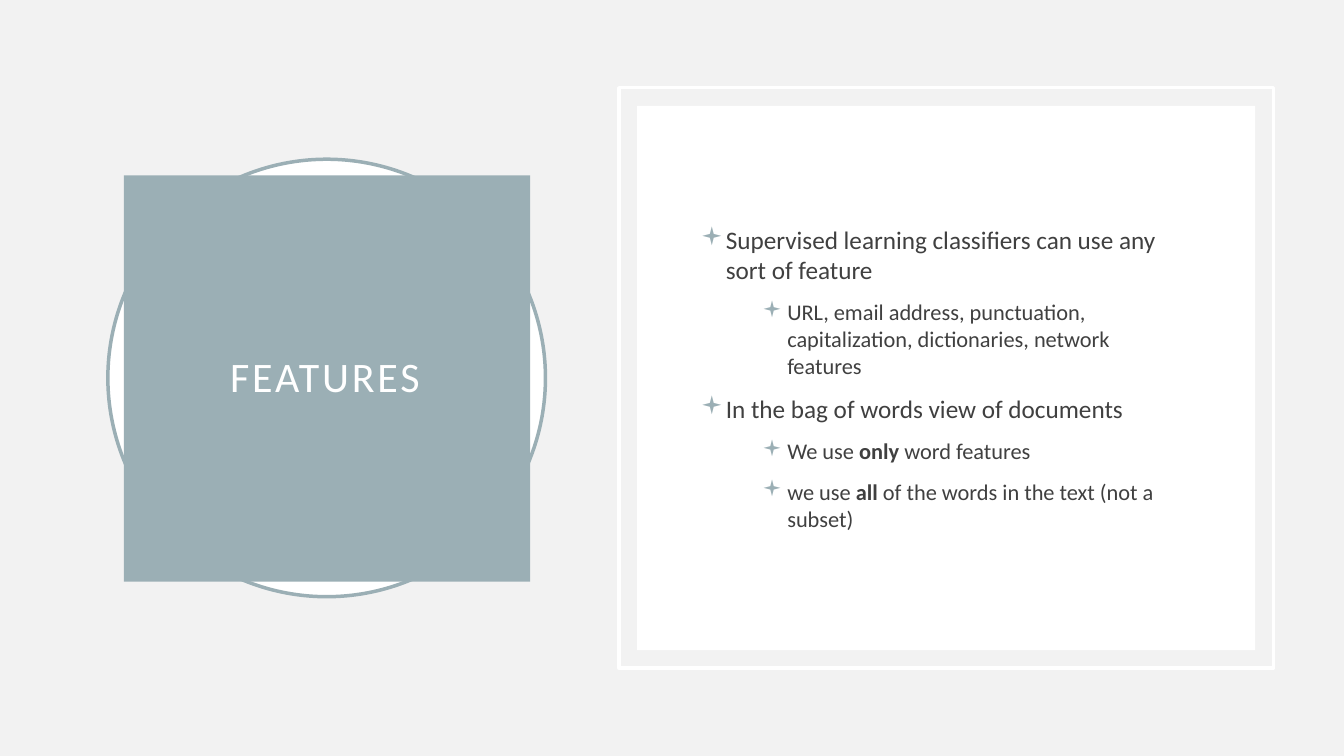
import pptx
import pptx.dml.color
import pptx.enum.shapes
import pptx.enum.text
import pptx.oxml.ns
import pptx.util
from lxml import etree

Inches = pptx.util.Inches
Pt = pptx.util.Pt
SHAPES = pptx.enum.shapes.MSO_SHAPE
FONT = "Calibri"
COLOURS = {
    "background": "F2F2F2",
    "accent": "9BAFB5",
    "white": "FFFFFF",
    "text": "404040",
}
# Each point: level, then runs of (text, bold)
POINTS = [
    (0, [("Supervised learning classifiers can use any sort of feature", False)]),
    (1, [("URL, email address, punctuation, capitalization, dictionaries, "
          "network features", False)]),
    (0, [("In the bag of words view of documents", False)]),
    (1, [("We use ", False), ("only", True), (" word features", False)]),
    (1, [("we use ", False), ("all", True),
         (" of the words in the text (not a subset)", False)]),
]
# Text size and left margin in inches for each level
LEVELS = [(18, 0.25), (16, 0.86)]


def colour(name):
    return pptx.dml.color.RGBColor.from_string(COLOURS[name])


def add_panel(page, kind, place, fill=None, line=None):
    panel = page.shapes.add_shape(kind, *map(Inches, place))
    panel.shadow.inherit = False
    if fill:
        panel.fill.solid()
        panel.fill.fore_color.rgb = colour(fill)
    else:
        panel.fill.background()
    if line:
        panel.line.color.rgb = colour(line)
        panel.line.width = Pt(2.5)
    else:
        panel.line.fill.background()
    return panel


def prepare_frame(box, right=0.14):
    frame = box.text_frame
    frame.word_wrap = True
    frame.vertical_anchor = pptx.enum.text.MSO_ANCHOR.MIDDLE
    frame.margin_left, frame.margin_right = Inches(0.1), Inches(right)
    frame.margin_top = frame.margin_bottom = Inches(0.05)
    return frame


def add_span(para, text, size, colour_name, bold=False):
    span = para.add_run()
    span.text = text
    span.font.name = FONT
    span.font.size = Pt(size)
    span.font.bold = bold
    span.font.color.rgb = colour(colour_name)
    return span


def set_bullet(para, margin):
    properties = para._p.get_or_add_pPr()
    properties.set("marL", str(Inches(margin)))
    properties.set("indent", str(Inches(-0.25)))
    qn = pptx.oxml.ns.qn
    bullet_colour = etree.SubElement(properties, qn("a:buClr"))
    etree.SubElement(bullet_colour, qn("a:srgbClr"), val=COLOURS["accent"])
    etree.SubElement(properties, qn("a:buFont"), typeface="Wingdings")
    etree.SubElement(properties, qn("a:buChar"), char="▪")


def add_title(panel, text):
    para = prepare_frame(panel).paragraphs[0]
    para.alignment = pptx.enum.text.PP_ALIGN.CENTER
    para.line_spacing = 0.9
    span = add_span(para, text, 30, "white")
    span.font._element.set("spc", "200")


def add_points(page, place, points):
    box = page.shapes.add_textbox(*map(Inches, place))
    frame = prepare_frame(box, right=0.2)
    for index, (level, spans) in enumerate(points):
        para = frame.add_paragraph() if index else frame.paragraphs[0]
        size, margin = LEVELS[level]
        para.level = level
        para.space_before = Pt(10)
        set_bullet(para, margin)
        for text, bold in spans:
            add_span(para, text, size, "text", bold)


def main():
    deck = pptx.Presentation()
    deck.slide_width, deck.slide_height = Inches(13.33), Inches(7.5)
    page = deck.slides.add_slide(deck.slide_layouts[6])
    page.background.fill.solid()
    page.background.fill.fore_color.rgb = colour("background")

    # Title block over a ring
    add_panel(page, SHAPES.OVAL, (1.07, 1.58, 4.34, 4.34), "white", "accent")
    title = add_panel(page, SHAPES.RECTANGLE, (1.23, 1.74, 4.03, 4.03), "accent")
    add_title(title, "FEATURES")

    # Framed card with bullet points
    add_panel(page, SHAPES.RECTANGLE, (6.14, 0.87, 6.49, 5.76), line="white")
    add_panel(page, SHAPES.RECTANGLE, (6.32, 1.05, 6.13, 5.4), "white")
    add_points(page, (6.85, 1.58, 5.09, 4.34), POINTS)

    deck.save("out.pptx")


if __name__ == "__main__":
    main()
